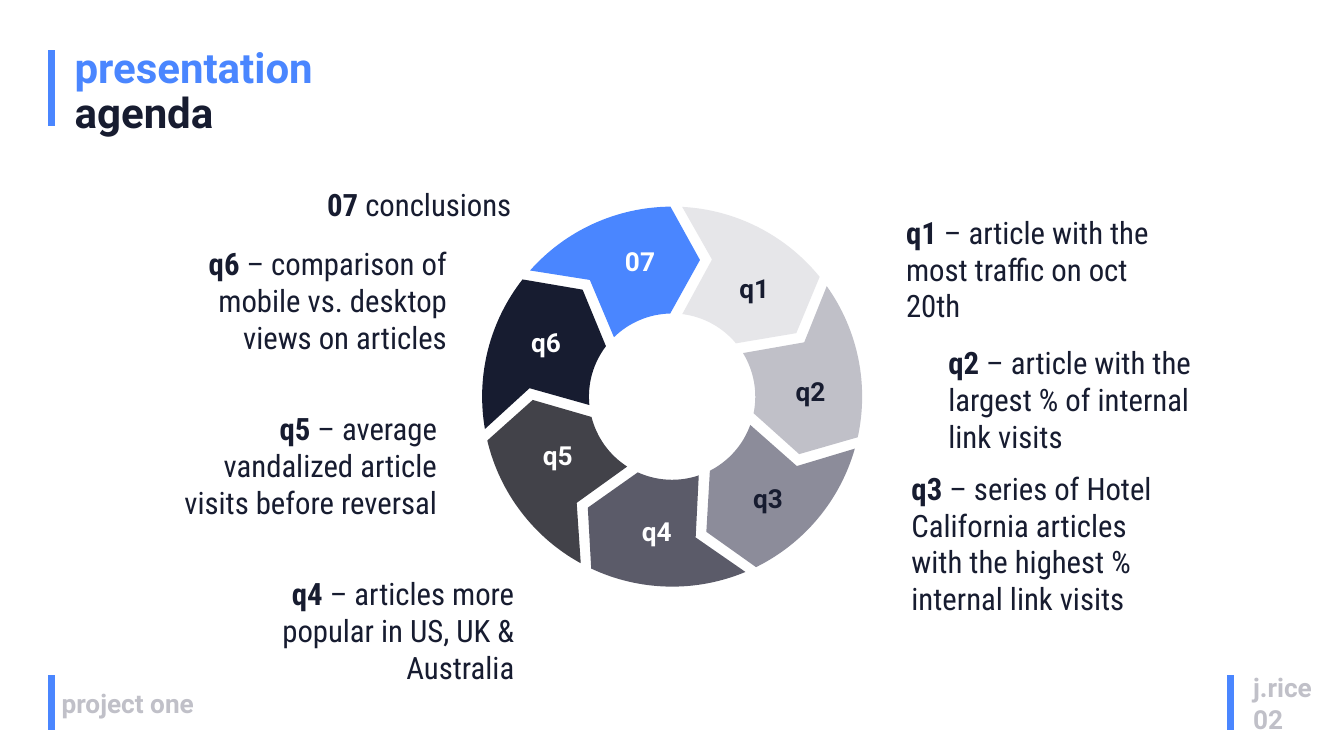
from math import cos, radians, sin, tan
from typing import NamedTuple

from lxml.etree import SubElement
from pptx import Presentation
from pptx.dml.color import RGBColor
from pptx.enum.shapes import MSO_CONNECTOR
from pptx.enum.text import PP_ALIGN
from pptx.oxml.ns import qn
from pptx.util import Inches, Pt

COLUMNS, ROWS = 160, 90
CELL = Inches(1) / 12

BLUE, NAVY, WHITE, PALE = "4A86FF", "171C30", "FFFFFF", "C0C0C8"
HEADING_FONT, TOPIC_FONT = "Roboto", "Roboto Condensed"

RING_COLUMN, RING_ROW = 80.02, 47.22
OUTER, INNER, TIP, NOTCH = 22.62, 9.9, 16.6, 17
CURVE_STARTS = (0, 3, 8, 11)


class Box(NamedTuple):
    column: float
    row: float
    columns: float
    rows: float


class Words(NamedTuple):
    text: str
    color: str
    bold: bool = True
    break_after: bool = False


class Bar(NamedTuple):
    column: float
    top: float
    bottom: float


class Topic(NamedTuple):
    key: str
    detail: str
    fill: str
    key_color: str
    key_column: float
    key_row: float
    column: float
    row: float
    lines: int
    align: PP_ALIGN


BARS = [Bar(6.1, 80.4, 86.9), Bar(146.5, 80.4, 86.9), Bar(6.1, 6, 15)]

TOPICS = [
    Topic("q1", " – article with the most traffic on oct 20th",
          "E6E6E9", NAVY, 89.8, 34.3, 106.68, 24.8, 3, PP_ALIGN.LEFT),
    Topic("q2", " – article with the largest % of internal link visits",
          PALE, NAVY, 96.5, 46.54, 111.72, 40.3, 3, PP_ALIGN.LEFT),
    Topic("q3", " – series of Hotel California articles with the highest % internal link visits",
          "8C8C9A", NAVY, 91.44, 59.3, 107.33, 55.28, 4, PP_ALIGN.LEFT),
    Topic("q4", " – articles more popular in US, UK & Australia",
          "5B5B69", WHITE, 78.2, 63.24, 29.6, 67.87, 3, PP_ALIGN.RIGHT),
    Topic("q5", " – average vandalized article visits before reversal",
          "424249", WHITE, 66.4, 54.2, 20.4, 48.2, 3, PP_ALIGN.RIGHT),
    Topic("q6", " – comparison of mobile vs. desktop views on articles",
          "171C30", WHITE, 65, 40.8, 21.58, 28.55, 3, PP_ALIGN.RIGHT),
    Topic("07", " conclusions",
          BLUE, WHITE, 76.2, 31.1, 29.25, 21.5, 1, PP_ALIGN.RIGHT),
]


def cells(count: float) -> int:
    return round(count * CELL)


def paint(color_format, color: str) -> None:
    color_format.rgb = RGBColor.from_string(color)


def write(slide, box: Box, lines: list[list[Words]], size: float,
          font: str = HEADING_FONT, align: PP_ALIGN = PP_ALIGN.LEFT,
          spacing: float = 1.0) -> None:
    frame = slide.shapes.add_textbox(*map(cells, box)).text_frame
    frame.word_wrap = True
    for index, line in enumerate(lines):
        paragraph = frame.add_paragraph() if index else frame.paragraphs[0]
        paragraph.alignment = align
        paragraph.line_spacing = spacing
        paragraph.font.name = font
        paragraph.font.size = Pt(size)
        for words in line:
            run = paragraph.add_run()
            run.text = words.text
            run.font.bold = words.bold
            paint(run.font.color, words.color)
            if words.break_after:
                paragraph.add_line_break()


def draw_bar(slide, bar: Bar) -> None:
    rule = slide.shapes.add_connector(
        MSO_CONNECTOR.STRAIGHT, cells(bar.column), cells(bar.top),
        cells(bar.column), cells(bar.bottom))
    paint(rule.line.color, BLUE)
    rule.line.width = Pt(5)
    SubElement(rule.element.spPr, qn("a:effectLst"))


def on_ring(radius: float, angle: float, handle: float = 0) -> tuple[int, int]:
    turn = radians(angle)
    return (cells(RING_COLUMN + radius * (sin(turn) + handle * cos(turn))),
            cells(RING_ROW - radius * (cos(turn) - handle * sin(turn))))


def arc(radius: float, start: float, end: float) -> list[tuple[int, int]]:
    middle = (start + end) / 2
    handle = 4 / 3 * tan(radians(middle - start) / 4)
    points = [on_ring(radius, start)]
    for near, far in ((start, middle), (middle, end)):
        points += [on_ring(radius, near, handle),
                   on_ring(radius, far, -handle),
                   on_ring(radius, far)]
    return points


def bend(segment) -> None:
    edges = list(segment.element.iter(qn("a:lnTo")))
    for start in CURVE_STARTS:
        first, *others = edges[start:start + 3]
        first.tag = qn("a:cubicBezTo")
        for edge in others:
            first.append(edge[0])
            edge.getparent().remove(edge)


def draw_segment(slide, turn: float, fill: str) -> None:
    outline = [
        *arc(OUTER, turn - 48.4, turn - 0.5),
        on_ring(TIP, turn + 11.5),
        *arc(INNER, turn - 1.3, turn - 44.4),
        on_ring(NOTCH, turn - 35.2),
    ]
    builder = slide.shapes.build_freeform(*outline[0])
    builder.add_line_segments(outline[1:], close=True)
    segment = builder.convert_to_shape()
    bend_source = segment
    bend(bend_source)
    segment.shadow.inherit = False
    segment.fill.solid()
    paint(segment.fill.fore_color, fill)
    segment.line.fill.background()


def main() -> None:
    deck = Presentation()
    deck.slide_width, deck.slide_height = cells(COLUMNS), cells(ROWS)
    slide = deck.slides.add_slide(deck.slide_layouts[6])

    write(slide, Box(6.15, 81.2, 25.3, 5), [[Words("project one", PALE)]], 18.7)
    for bar in BARS:
        draw_bar(slide, bar)
    write(slide, Box(7.7, 5, 47.6, 12.1),
          [[Words("presentation", BLUE, break_after=True), Words("agenda", NAVY)]],
          30, spacing=0.9)
    write(slide, Box(148, 79.35, 15.1, 8.8),
          [[Words("j.rice", PALE)], [Words("02", PALE)]], 18.7)

    for position, topic in enumerate(TOPICS, start=1):
        draw_segment(slide, 360 / len(TOPICS) * position, topic.fill)
    for topic in TOPICS:
        write(slide, Box(topic.key_column - 3.5, topic.key_row - 2.5, 7, 5),
              [[Words(topic.key, topic.key_color)]], 18.7, align=PP_ALIGN.CENTER)
        write(slide, Box(topic.column, topic.row, 32.8, 4.42 * topic.lines + 1.2),
              [[Words(topic.key, NAVY), Words(topic.detail, NAVY, False)]],
              22, TOPIC_FONT, topic.align)

    deck.save("out.pptx")


if __name__ == "__main__":
    main()
